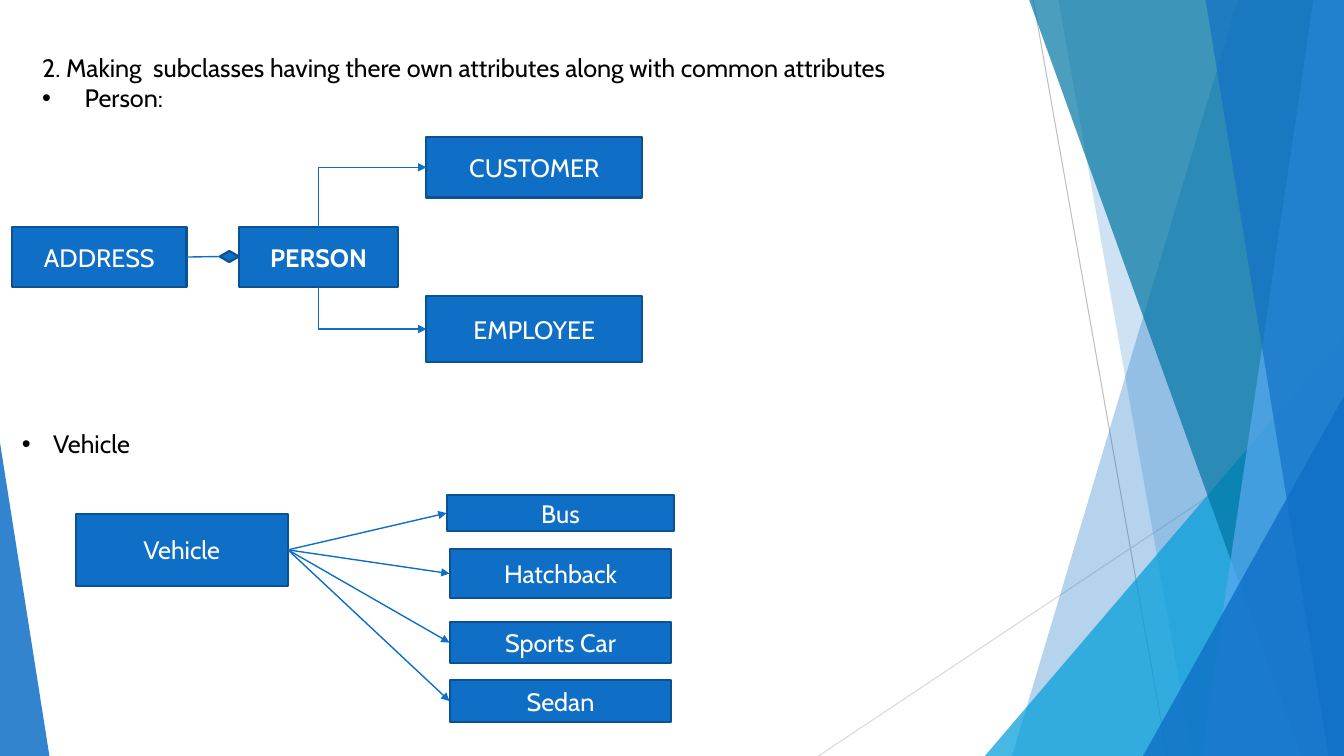
from dataclasses import dataclass

from lxml import etree
from pptx import Presentation
from pptx.dml.color import RGBColor
from pptx.enum.shapes import MSO_CONNECTOR, MSO_SHAPE
from pptx.enum.text import MSO_ANCHOR, PP_ALIGN
from pptx.oxml.ns import qn
from pptx.util import Inches, Pt

STRAIGHT, ELBOW = MSO_CONNECTOR.STRAIGHT, MSO_CONNECTOR.ELBOW
RECTANGLE, DIAMOND = MSO_SHAPE.RECTANGLE, MSO_SHAPE.DIAMOND
TRIANGLE = MSO_SHAPE.ISOSCELES_TRIANGLE
CENTER, MIDDLE = PP_ALIGN.CENTER, MSO_ANCHOR.MIDDLE
TOP, LEFT, BOTTOM, RIGHT = range(4)  # connection sites of a rectangle

WIDTH, HEIGHT = Inches(13.33), Inches(7.5)


@dataclass(frozen=True)
class Theme:
    font: str = "Cabin"
    size: float = 18
    text: str = "000000"
    box_text: str = "FFFFFF"
    blue: str = "0F6FC6"
    outline: str = "0B5292"
    cyan: str = "009DD9"
    teal: str = "0076A3"
    sky: str = "59AAF2"
    gray: str = "BFBFBF"
    light_gray: str = "D9D9D9"
    box_line: float = 1.5
    arrow_line: float = 1
    hairline: float = 0.75


THEME = Theme()


# Lengths are percentages of the slide's width and height
def across(share):
    return round(WIDTH * share / 100)


def down(share):
    return round(HEIGHT * share / 100)


def place(left, top, width, height):
    return across(left), down(top), across(width), down(height)


def style_runs(paragraph, color, bold=False):
    for run in paragraph.runs:
        run.font.name = THEME.font
        run.font.size = Pt(THEME.size)
        run.font.bold = bold
        run.font.color.rgb = RGBColor.from_string(color)


def fill_glass(shape, color, opacity):
    """Fill without outline; opacity is in percent."""
    shape.shadow.inherit = False
    shape.fill.solid()
    shape.fill.fore_color.rgb = RGBColor.from_string(color)
    shape.line.fill.background()
    color_element = shape._element.spPr.find(qn("a:solidFill"))[0]
    etree.SubElement(color_element, qn("a:alpha"), val=str(opacity * 1000))


def add_facet(slide, top_x, bottom_x, color, opacity):
    """Four-sided facet that reaches the right edge of the slide."""
    builder = slide.shapes.build_freeform(across(top_x), 0)
    builder.add_line_segments(
        [(WIDTH, 0), (WIDTH, HEIGHT), (across(bottom_x), HEIGHT)], close=True)
    fill_glass(builder.convert_to_shape(), color, opacity)


def add_corner(slide, left, top, width, apex, color, opacity):
    """Triangle that stands on the bottom edge of the slide."""
    shape = slide.shapes.add_shape(TRIANGLE, *place(left, top, width, 100 - top))
    shape.adjustments[0] = apex
    fill_glass(shape, color, opacity)


def add_box(slide, label, left, top, width, height, bold=False, kind=RECTANGLE):
    shape = slide.shapes.add_shape(kind, *place(left, top, width, height))
    shape.shadow.inherit = False
    shape.fill.solid()
    shape.fill.fore_color.rgb = RGBColor.from_string(THEME.blue)
    shape.line.color.rgb = RGBColor.from_string(THEME.outline)
    shape.line.width = Pt(THEME.box_line)
    if label:
        shape.text_frame.text = label
        shape.text_frame.vertical_anchor = MIDDLE
        paragraph = shape.text_frame.paragraphs[0]
        paragraph.alignment = CENTER
        style_runs(paragraph, THEME.box_text, bold)
    return shape


def add_line(slide, start, end, color, width, kind=STRAIGHT):
    connector = slide.shapes.add_connector(
        kind, across(start[0]), down(start[1]), across(end[0]), down(end[1]))
    connector.line.color.rgb = RGBColor.from_string(color)
    connector.line.width = Pt(width)
    etree.SubElement(connector._element.spPr, qn("a:effectLst"))
    return connector


def add_link(slide, source, source_site, target, target_site,
             arrow=True, kind=STRAIGHT):
    connector = add_line(slide, (0, 0), (1, 1), THEME.blue,
                         THEME.arrow_line, kind)
    connector.begin_connect(source, source_site)
    connector.end_connect(target, target_site)
    if arrow:
        line = connector._element.spPr.find(qn("a:ln"))
        etree.SubElement(line, qn("a:tailEnd"), type="triangle")
    return connector


def add_corner_link(slide, source, source_site, target):
    """One-bend arrow: up or down from the source, then right to the target."""
    connector = add_link(slide, source, source_site, target, LEFT, kind=ELBOW)
    run, rise = connector.width, connector.height
    middle_x = connector.left + run // 2
    middle_y = connector.top + rise // 2
    # The frame is turned by a quarter, so its sides change places
    connector.left, connector.top = middle_x - rise // 2, middle_y - run // 2
    connector.width, connector.height = rise, run
    upward = source_site == TOP
    properties = connector._element.spPr
    frame = properties.find(qn("a:xfrm"))
    frame.set("rot", str((90 if upward else 270) * 60000))
    frame.set("flipH", "1")
    frame.set("flipV", "1" if upward else "0")
    properties.find(qn("a:prstGeom")).set("prst", "bentConnector2")


def add_text(slide, lines, left, top, width, height):
    """Lines are (text, bullet indent in inches); an indent of 0 has no bullet."""
    box = slide.shapes.add_textbox(*place(left, top, width, height))
    frame = box.text_frame
    frame.word_wrap = True
    frame.text = "\n".join(text for text, _ in lines)
    for paragraph, (_, indent) in zip(frame.paragraphs, lines):
        style_runs(paragraph, THEME.text)
        if indent:
            properties = paragraph._p.get_or_add_pPr()
            properties.set("marL", str(Inches(indent)))
            properties.set("indent", str(-Inches(indent)))
            etree.SubElement(properties, qn("a:buFont"), typeface="Arial")
            etree.SubElement(properties, qn("a:buChar"), char="•")


def add_backdrop(slide):
    add_line(slide, (76.88, 0), (86.85, 100), THEME.gray, THEME.hairline)
    add_line(slide, (100, 53.73), (60.9, 100), THEME.light_gray, THEME.hairline)
    add_facet(slide, 92.1, 75.3, THEME.blue, 30)
    add_facet(slide, 78.75, 88.73, THEME.blue, 20)
    add_corner(slide, 73.28, 44.4, 26.72, 1, THEME.cyan, 72)
    add_facet(slide, 76.58, 96.83, THEME.teal, 70)
    add_facet(slide, 97.73, 89.4, THEME.sky, 70)
    add_facet(slide, 89.7, 98.85, THEME.blue, 65)
    add_corner(slide, 85.05, 52.4, 14.95, 1, THEME.blue, 80)
    add_corner(slide, 0, 58.53, 3.68, 0, THEME.blue, 85)


def add_person_diagram(slide):
    person = add_box(slide, "PERSON", 17.78, 30, 11.85, 8, bold=True)
    customer = add_box(slide, "CUSTOMER", 31.73, 18.13, 16.05, 8)
    employee = add_box(slide, "EMPLOYEE", 31.73, 39.2, 16.05, 8.67)
    address = add_box(slide, "ADDRESS", 0.9, 30, 12.98, 8)
    add_corner_link(slide, person, BOTTOM, employee)
    add_corner_link(slide, person, TOP, customer)
    diamond = add_box(slide, "", 16.35, 33.2, 1.43, 1.47, kind=DIAMOND)
    add_link(slide, diamond, LEFT, address, RIGHT, arrow=False)


def add_vehicle_diagram(slide):
    vehicle = add_box(slide, "Vehicle", 5.63, 68, 15.8, 9.47)
    subclasses = [
        ("Bus", 33.23, 65.47, 16.95, 4.8),
        ("Hatchback", 33.45, 72.67, 16.5, 6.4),
        ("Sports Car", 33.45, 82.27, 16.5, 5.47),
        ("Sedan", 33.45, 90, 16.5, 5.47),
    ]
    for subclass in subclasses:
        add_link(slide, vehicle, RIGHT, add_box(slide, *subclass), LEFT)


def main():
    presentation = Presentation()
    presentation.slide_width, presentation.slide_height = WIDTH, HEIGHT
    slide = presentation.slides.add_slide(presentation.slide_layouts[6])
    add_backdrop(slide)
    heading = ("2. Making  subclasses having there own attributes "
               "along with common attributes")
    add_text(slide, [(heading, 0), ("Person:", 0.42)], 2.4, 6.27, 91.5, 13.47)
    add_person_diagram(slide)
    add_text(slide, [("Vehicle", 0.31)], 0.9, 56, 65.25, 9.47)
    add_vehicle_diagram(slide)
    presentation.save("out.pptx")


if __name__ == "__main__":
    main()
